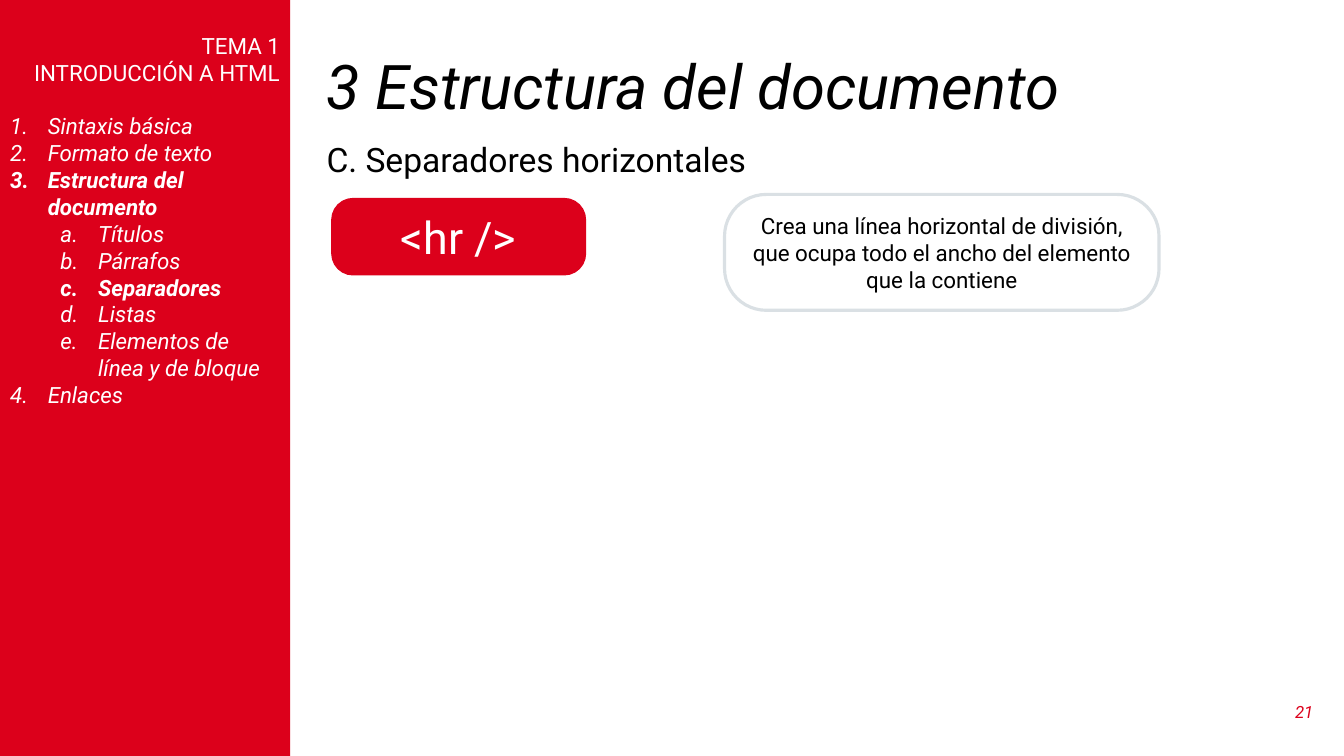
from lxml import etree
from pptx import Presentation
from pptx.dml.color import RGBColor
from pptx.enum.shapes import MSO_SHAPE
from pptx.enum.text import MSO_ANCHOR, MSO_AUTO_SIZE, PP_ALIGN
from pptx.oxml.ns import qn
from pptx.util import Cm, Pt

RED = RGBColor(0xDC, 0x00, 0x1B)
GREY = RGBColor(0xDA, 0xE0, 0xE4)
BLACK = RGBColor(0x00, 0x00, 0x00)
WHITE = RGBColor(0xFF, 0xFF, 0xFF)
FONT = "Roboto"

ROUNDED = MSO_SHAPE.ROUNDED_RECTANGLE
LEFT, CENTER, RIGHT = PP_ALIGN.LEFT, PP_ALIGN.CENTER, PP_ALIGN.RIGHT
TOP, MIDDLE = MSO_ANCHOR.TOP, MSO_ANCHOR.MIDDLE
NO_AUTOFIT = MSO_AUTO_SIZE.NONE

CONTENT_LEFT = 7.98
NUMBERING = ("arabicPeriod", "alphaLcPeriod")
HEADINGS = ("TEMA 1", "INTRODUCCIÓN A HTML")
# (level, entry, is current)
INDEX = (
    (0, "Sintaxis básica", False),
    (0, "Formato de texto", False),
    (0, "Estructura del documento", True),
    (1, "Títulos", False),
    (1, "Párrafos", False),
    (1, "Separadores", True),
    (1, "Listas", False),
    (1, "Elementos de línea y de bloque", False),
    (0, "Enlaces", False),
)


def write(paragraph, text, size=16, color=BLACK, bold=False, italic=False,
          align=LEFT, before=0, spacing=1.0):
    paragraph.alignment = align
    paragraph.space_before = Pt(before)
    paragraph.line_spacing = spacing
    run = paragraph.add_run()
    run.text = text
    run.font.name = FONT
    run.font.size = Pt(size)
    run.font.color.rgb = color
    run.font.bold = bold
    run.font.italic = italic


def place(shape, left, top, width, height):
    """Position a shape, in centimetres."""
    shape.left, shape.top = Cm(left), Cm(top)
    shape.width, shape.height = Cm(width), Cm(height)


def prepare_frame(shape, anchor):
    frame = shape.text_frame
    frame.word_wrap = True
    frame.auto_size = NO_AUTOFIT
    frame.vertical_anchor = anchor
    return frame


def set_bullet(paragraph, numbering=None, indent=0.0, hanging=0.0):
    """Number the paragraph, or clear its inherited bullet."""
    properties = paragraph._p.get_or_add_pPr()
    properties.set("marL", str(Cm(indent)))
    properties.set("indent", str(-Cm(hanging)))
    if numbering:
        etree.SubElement(properties, qn("a:buAutoNum"), type=numbering)
    else:
        etree.SubElement(properties, qn("a:buNone"))


def add_title(slide, text):
    title = slide.shapes.title
    place(title, CONTENT_LEFT, 1.27, 25.37, 1.98)
    frame = prepare_frame(title, MIDDLE)
    write(frame.paragraphs[0], text, size=44, italic=True, spacing=0.9)


def add_sidebar(slide):
    sidebar = slide.placeholders[1]
    place(sidebar, 0, 0, 7.31, 19.05)
    sidebar.fill.solid()
    sidebar.fill.fore_color.rgb = RED
    frame = prepare_frame(sidebar, TOP)
    frame.margin_top = Cm(0.81)

    for position, heading in enumerate(HEADINGS):
        paragraph = frame.add_paragraph() if position else frame.paragraphs[0]
        set_bullet(paragraph)
        write(paragraph, heading, color=WHITE, align=RIGHT)

    for position, (level, entry, current) in enumerate(INDEX):
        paragraph = frame.add_paragraph()
        paragraph.level = level
        set_bullet(paragraph, NUMBERING[level], 0.95 + 1.27 * level, 0.95)
        write(paragraph, entry, color=WHITE, bold=current, italic=True,
              before=0 if position else 19)


def add_label(slide, box, text, anchor=TOP, **text_format):
    label = slide.shapes.add_textbox(*map(Cm, box))
    write(prepare_frame(label, anchor).paragraphs[0], text, **text_format)


def add_rounded_box(slide, box, text, rounding, line, line_width, fill=None,
                    **text_format):
    rounded = slide.shapes.add_shape(ROUNDED, *map(Cm, box))
    rounded.adjustments[0] = rounding
    rounded.shadow.inherit = False
    if fill is None:
        rounded.fill.background()
    else:
        rounded.fill.solid()
        rounded.fill.fore_color.rgb = fill
    rounded.line.color.rgb = line
    rounded.line.width = Pt(line_width)
    frame = prepare_frame(rounded, MIDDLE)
    write(frame.paragraphs[0], text, align=CENTER, **text_format)


def main():
    presentation = Presentation()
    presentation.slide_width = Cm(33.87)
    presentation.slide_height = Cm(19.05)
    slide = presentation.slides.add_slide(presentation.slide_layouts[1])

    add_title(slide, "3 Estructura del documento")
    add_sidebar(slide)
    add_label(slide, (32.05, 17.42, 1.3, 1.02), "21", anchor=MIDDLE,
              size=12, color=RED, italic=True, align=RIGHT)
    add_label(slide, (CONTENT_LEFT, 3.38, 18.95, 1.27),
              "C. Separadores horizontales", size=24)
    add_rounded_box(slide, (8.36, 5.0, 6.4, 1.93), "<hr />", 0.28,
                    RED, 0.75, fill=RED, size=32, color=WHITE)
    add_rounded_box(slide, (18.26, 4.9, 10.95, 2.92),
                    "Crea una línea horizontal de división, que ocupa todo "
                    "el ancho del elemento que la contiene", 0.36, GREY, 2.25)

    presentation.save("out.pptx")


if __name__ == "__main__":
    main()
